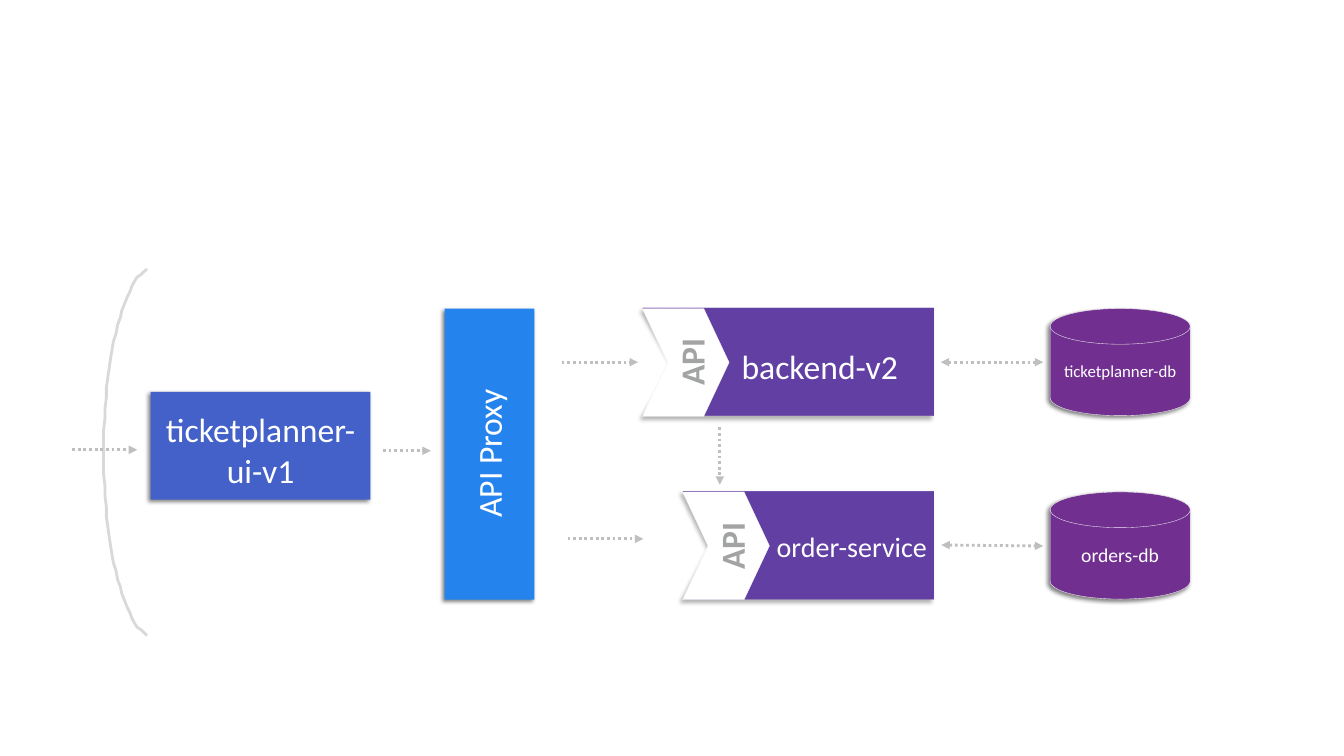
from lxml.etree import SubElement
from pptx import Presentation
from pptx.dml.color import RGBColor
from pptx.enum.dml import MSO_LINE
from pptx.enum.shapes import MSO_CONNECTOR, MSO_SHAPE
from pptx.enum.text import MSO_ANCHOR, MSO_AUTO_SIZE, PP_ALIGN
from pptx.oxml.ns import qn
from pptx.util import Pt

FONT = "Calibri"
WHITE, PALE, GREY, ARROW = "FFFFFF", "F2F2F2", "A2A3A3", "BFBFBF"
VIOLET, PLUM, BLUE, INDIGO, CURVE = "6240A3", "712F90", "2583EE", "4361C8", "D9D9D9"

HIGH, RIGHT = 77, 667.4
ROWS = [
    dict(top=220.4, left=459.4, notch=23, name="backend-v2", size=24,
         text=(507, 243.4, 157, 36), store="ticketplanner-db", small=12),
    dict(top=351.4, left=488.2, notch=19.5, name="order-service", size=20,
         text=(530, 374.4, 157, 32), store="orders-db", small=14),
]
PANELS = [
    ((107.6, 279.9, 157, HIGH), INDIGO),
    ((317.6, 220.4, 64.2, 208), BLUE),
]
LABELS = [
    ("ticketplanner-ui-v1", (107.4, 288.7, 157.6, 65.4), 0),
    ("API Proxy", (245, 306, 208, 36), 270),
]
ARROWS = [
    (514.2, 305.3, 514.2, 346.3, False),
    (672.4, 389.3, 745.2, 390, True),
    (672, 258.7, 745.2, 258.7, True),
    (51.6, 321.3, 98, 321.3, False),
    (401.2, 258.7, 455.8, 258.7, False),
    (273.6, 322, 307.8, 322, False),
    (405.4, 384.9, 459.6, 384.9, False),
]
BOW = [(105, 454), (87, 442), (74, 388), (74, 323)]
STEPS = 24

deck = Presentation()
deck.slide_width, deck.slide_height = Pt(960), Pt(540)
slide = deck.slides.add_slide(deck.slide_layouts[6])
shapes = slide.shapes


def tint(code):
    return RGBColor.from_string(code)


def paint(shape, fill=None, line=None, width=0.25, shade=None):
    if fill:
        shape.fill.solid()
        shape.fill.fore_color.rgb = tint(fill)
    else:
        shape.fill.background()
    if line:
        shape.line.color.rgb = tint(line)
        shape.line.width = Pt(width)
    else:
        shape.line.fill.background()
    shape.shadow.inherit = False
    if shade:
        alpha, gap = shade
        effect = shape.element.spPr.find(qn("a:effectLst"))
        cast = SubElement(effect, qn("a:outerShdw"), blurRad=str(Pt(3)),
                          dist=str(Pt(gap)), dir="8100000", algn="tr", rotWithShape="0")
        color = SubElement(cast, qn("a:srgbClr"), val="000000")
        SubElement(color, qn("a:alpha"), val=str(alpha * 1000))


def solid(kind, box, fill, **style):
    shape = shapes.add_shape(kind, *map(Pt, box))
    paint(shape, fill, **style)
    return shape


def trace(points, close):
    pen = shapes.build_freeform(*points[0], scale=Pt(1))
    pen.add_line_segments(points[1:], close=close)
    return pen.convert_to_shape()


def write(frame, text, size, color=WHITE, bold=False):
    frame.word_wrap = True
    par = frame.paragraphs[0]
    par.text = text
    par.alignment = PP_ALIGN.CENTER
    par.font.name, par.font.size, par.font.bold = FONT, Pt(size), bold
    par.font.color.rgb = tint(color)


def label(text, box, size=24, turn=0, **style):
    shape = shapes.add_textbox(*map(Pt, box))
    shape.rotation = turn
    write(shape.text_frame, text, size, **style)
    shape.text_frame.auto_size = MSO_AUTO_SIZE.SHAPE_TO_FIT_TEXT


def arrow(x1, y1, x2, y2, both):
    link = shapes.add_connector(MSO_CONNECTOR.STRAIGHT, *map(Pt, (x1, y1, x2, y2)))
    link.line.color.rgb = tint(ARROW)
    link.line.width = Pt(2)
    link.line.dash_style = MSO_LINE.ROUND_DOT
    line = link.line._get_or_add_ln()
    for end in ("a:headEnd", "a:tailEnd") if both else ("a:tailEnd",):
        SubElement(line, qn(end), type="triangle")
    SubElement(link._element.spPr, qn("a:effectLst"))


def curve(t):
    parts = ((1 - t) ** 3, 3 * t * (1 - t) ** 2, 3 * t ** 2 * (1 - t), t ** 3)
    return tuple(sum(p * spot[axis] for p, spot in zip(parts, BOW)) for axis in (0, 1))


for row in ROWS:
    top, left = row["top"], row["left"]
    base = top + HIGH
    body = trace([(left, top), (RIGHT, top), (RIGHT, base), (left, base),
                  (left + row["notch"], top + 40)], True)
    paint(body, VIOLET, VIOLET, shade=(30, 3))
    label(row["name"], row["text"], row["size"])
    tip = solid(MSO_SHAPE.CHEVRON, (left - 0.6, top, 62, HIGH), WHITE, line=PALE)
    tip.adjustments[0] = 0.292
    label("API", (left - 3.6, top + 20.4, 76, 36), turn=270, color=GREY, bold=True)
    disk = solid(MSO_SHAPE.FLOWCHART_MAGNETIC_DISK, (750.2, top, 100, 76.5), PLUM,
                 line=PALE, shade=(50, 2))
    write(disk.text_frame, row["store"], row["small"])
    disk.text_frame.vertical_anchor = MSO_ANCHOR.MIDDLE

for box, fill in PANELS:
    solid(MSO_SHAPE.RECTANGLE, box, fill, shade=(50, 2))

half = [curve(i / STEPS) for i in range(STEPS + 1)]
axis = BOW[-1][1]
rest = [(x, 2 * axis - y) for x, y in reversed(half[:-1])]
paint(trace(half + rest, False), line=CURVE, width=2)

for spec in ARROWS:
    arrow(*spec)
for text, box, turn in LABELS:
    label(text, box, turn=turn)

deck.save("out.pptx")
